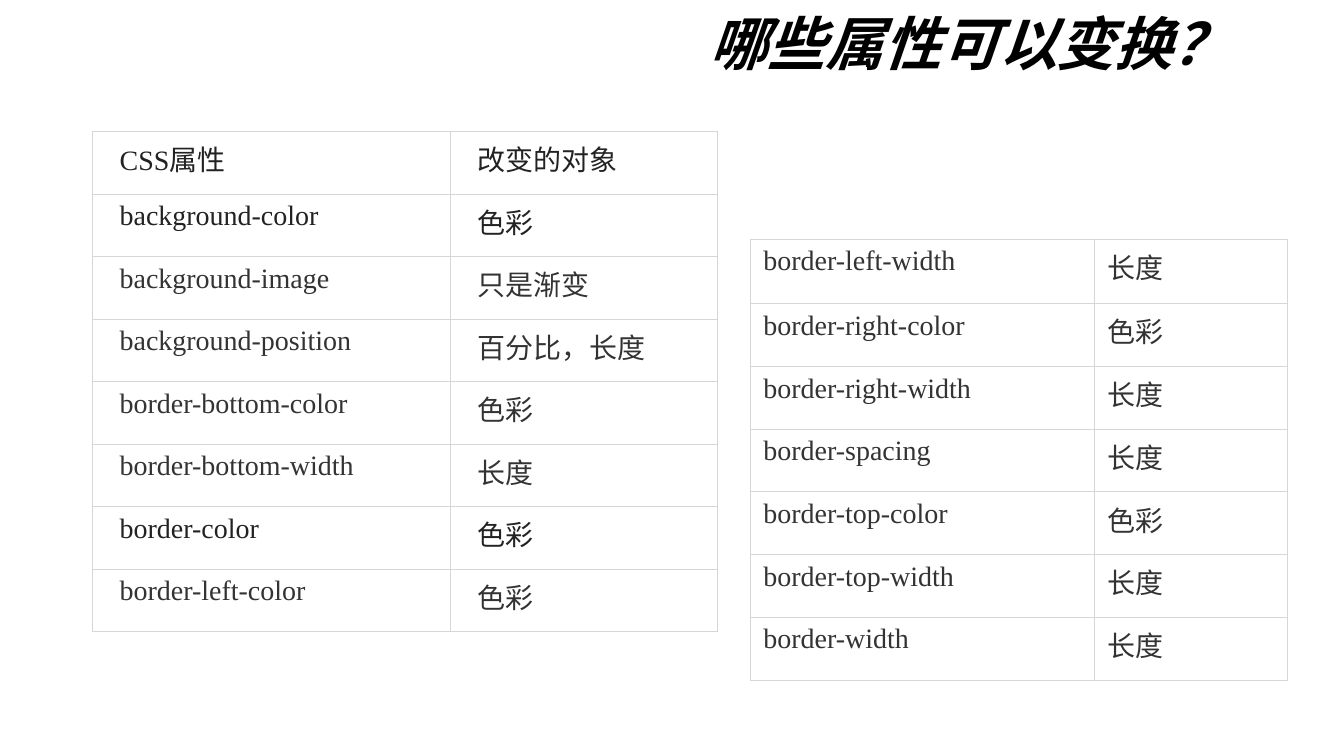
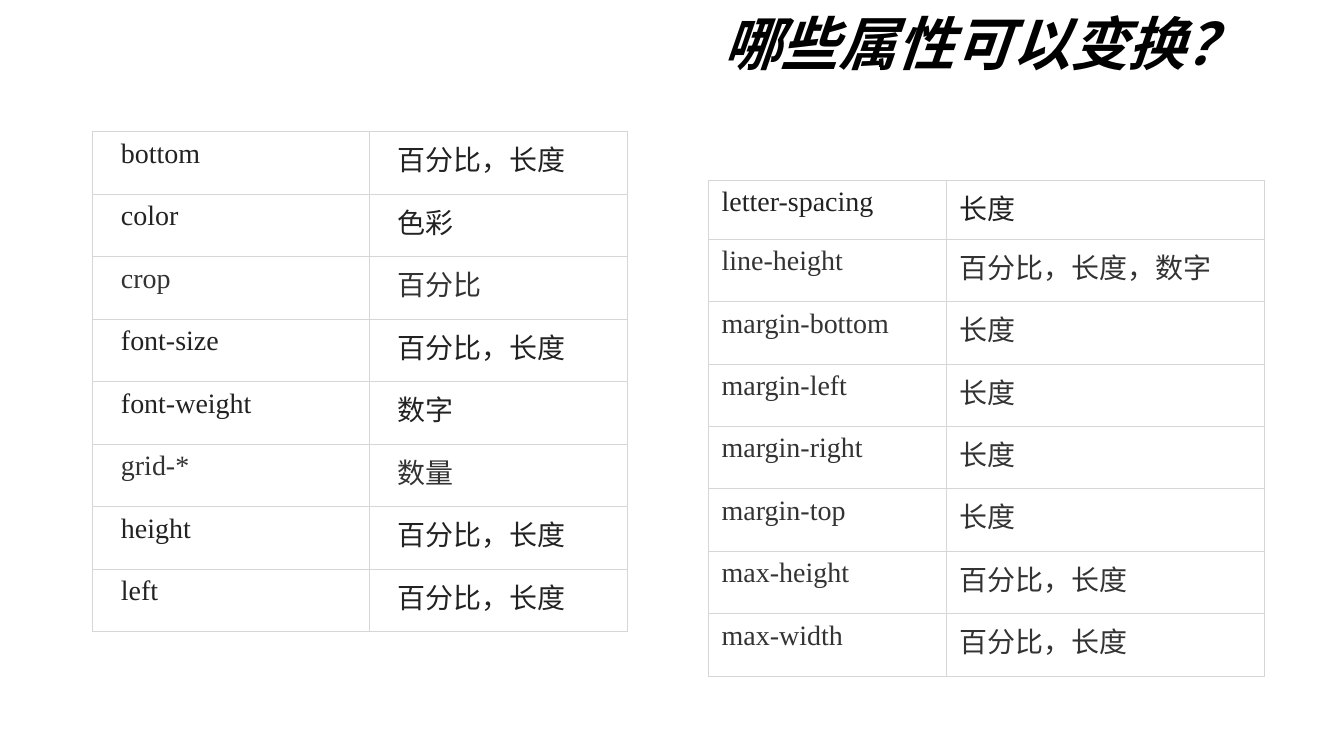
from lxml.etree import SubElement
from pptx import Presentation
from pptx.dml.color import RGBColor
from pptx.enum.text import MSO_ANCHOR, MSO_AUTO_SIZE, PP_ALIGN
from pptx.oxml.ns import qn
from pptx.util import Inches, Pt

COLORS = {"title": "000000", "dark": "222222", "soft": "333333", "border": "D6D6D6"}
LATIN_FONT = "Times New Roman"
CJK_FONT = "Noto Sans CJK JP"
TITLE = "哪些属性可以变换？"
TITLE_ONLY_LAYOUT = 5
PAGE_WIDTH = 10
PAGE_HEIGHT = PAGE_WIDTH * 9 / 16
HANGING_INDENT = 0.38
DARK_ROWS = {
    "CSS属性", "background-color", "border-color", "bottom", "color",
    "font-size", "font-weight", "height", "left", "letter-spacing",
}


def write(frame, text, size, color, font=LATIN_FONT, bold=False, italic=False,
          align=PP_ALIGN.LEFT, line_spacing=None, hanging=0):
    para = frame.paragraphs[0]
    para.alignment = align
    para.line_spacing = line_spacing
    if hanging:
        properties = para._p.get_or_add_pPr()
        properties.set("marL", str(Inches(hanging)))
        properties.set("indent", str(Inches(-hanging)))
    span = para.add_run()
    span.text = text
    span.font.size = Pt(size)
    span.font.bold = bold
    span.font.italic = italic
    span.font.color.rgb = RGBColor.from_string(COLORS[color])
    span.font.name = font
    SubElement(span._r.get_or_add_rPr(), qn("a:ea"), typeface=CJK_FONT)


def set_margins(target, horizontal, vertical):
    target.margin_left = target.margin_right = Inches(horizontal)
    target.margin_top = target.margin_bottom = Inches(vertical)


def draw_borders(cell):
    properties = cell._tc.get_or_add_tcPr()
    for side in ("lnL", "lnR", "lnT", "lnB"):
        line = SubElement(properties, qn(f"a:{side}"), w=str(Pt(0.45)))
        fill = SubElement(line, qn("a:solidFill"))
        SubElement(fill, qn("a:srgbClr"), val=COLORS["border"])


class PropertyDeck:
    def __init__(self):
        self.deck = Presentation()
        self.deck.slide_width = Inches(PAGE_WIDTH)
        self.deck.slide_height = Inches(PAGE_HEIGHT)
        self.page = None

    def add_page(self, title):
        layout = self.deck.slide_layouts[TITLE_ONLY_LAYOUT]
        self.page = self.deck.slides.add_slide(layout)
        box = self.page.shapes.title
        box.left, box.top = Inches(1.38), Inches(0)
        box.width, box.height = Inches(7.94), Inches(0.69)
        frame = box.text_frame
        frame.word_wrap = True
        frame.auto_size = MSO_AUTO_SIZE.NONE
        frame.vertical_anchor = MSO_ANCHOR.MIDDLE
        set_margins(frame, 0.07, 0.04)
        write(frame, title, 31, "title", font=CJK_FONT, bold=True, italic=True,
              align=PP_ALIGN.RIGHT, line_spacing=0.9)

    def add_properties(self, left, top, height, columns, rows, margin=0.1,
                       first_height=None):
        """Add a property table; rows after the first share the height equally."""
        first_height = first_height or height / len(rows)
        other_height = (height - first_height) / (len(rows) - 1)
        table = self.page.shapes.add_table(
            len(rows), len(columns), Inches(left), Inches(top),
            Inches(sum(columns)), Inches(height)).table
        table.first_row = table.horz_banding = False
        for column, width in zip(table.columns, columns):
            column.width = Inches(width)
        for index, (row, texts) in enumerate(zip(table.rows, rows)):
            row.height = Inches(other_height if index else first_height)
            color = "dark" if texts[0] in DARK_ROWS else "soft"
            for cell, text in zip(row.cells, texts):
                set_margins(cell, margin, 0.05)
                draw_borders(cell)
                cell.fill.background()
                write(cell.text_frame, text, 15, color, hanging=HANGING_INDENT)


def main():
    show = PropertyDeck()

    show.add_page(TITLE + " ")
    show.add_properties(0.69, 0.98, 3.72, (2.66, 1.99), [
        ("CSS属性", "改变的对象"),
        ("background-color", "色彩"),
        ("background-image", "只是渐变"),
        ("background-position", "百分比，长度"),
        ("border-bottom-color", "色彩"),
        ("border-bottom-width", "长度"),
        ("border-color", "色彩"),
        ("border-left-color", "色彩"),
    ], margin=0.2)
    show.add_properties(5.58, 1.78, 3.28, (2.56, 1.44), [
        ("border-left-width", "长度"),
        ("border-right-color", "色彩"),
        ("border-right-width", "长度"),
        ("border-spacing", "长度"),
        ("border-top-color", "色彩"),
        ("border-top-width", "长度"),
        ("border-width", "长度"),
    ], first_height=0.48)

    show.add_page(TITLE)
    show.add_properties(0.69, 0.98, 3.72, (2.06, 1.92), [
        ("bottom", "百分比，长度"),
        ("color", "色彩"),
        ("crop", "百分比"),
        ("font-size", "百分比，长度"),
        ("font-weight", "数字"),
        ("grid-*", "数量"),
        ("height", "百分比，长度"),
        ("left", "百分比，长度"),
    ], margin=0.21)
    show.add_properties(5.27, 1.34, 3.69, (1.77, 2.37), [
        ("letter-spacing", "长度"),
        ("line-height", "百分比，长度，数字"),
        ("margin-bottom", "长度"),
        ("margin-left", "长度"),
        ("margin-right", "长度"),
        ("margin-top", "长度"),
        ("max-height", "百分比，长度"),
        ("max-width", "百分比，长度"),
    ], first_height=0.44)

    show.deck.save("out.pptx")


if __name__ == "__main__":
    main()
